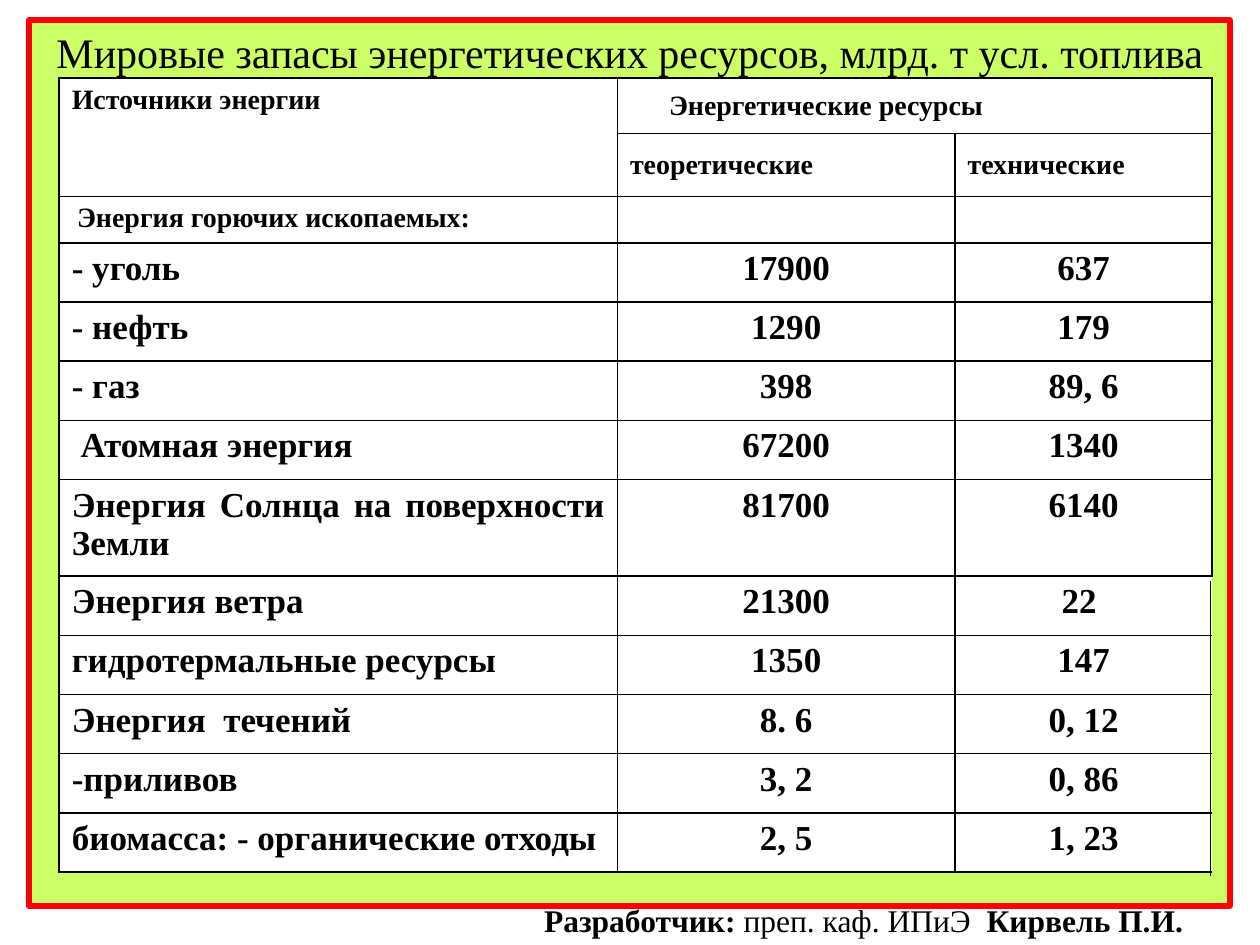
from lxml.etree import SubElement
from pptx import Presentation
from pptx.dml.color import RGBColor
from pptx.enum.shapes import MSO_CONNECTOR, MSO_SHAPE
from pptx.enum.text import MSO_ANCHOR, PP_ALIGN
from pptx.oxml.ns import qn
from pptx.util import Inches, Pt

BLACK = RGBColor(0, 0, 0)
WHITE = RGBColor(255, 255, 255)
RED = RGBColor(255, 0, 0)
LIME = RGBColor(0xCC, 0xFF, 0x66)
FONT = "Times New Roman"

COLUMN_WIDTHS = [4.43, 2.68, 2.04]
HEADER_HEIGHTS = [0.44, 0.5, 0.36]
ROW_HEIGHT = 0.47
TALL_ROW_HEIGHT = 0.76
SOLAR = "Энергия Солнца на поверхности Земли"
RESERVES = [
    ("- уголь", "17900", "637"),
    ("- нефть", "1290", "179"),
    ("- газ", "398", "89, 6"),
    (" Атомная энергия", "67200", "1340"),
    (SOLAR, "81700", "6140"),
    ("Энергия ветра", "21300", "22 "),
    ("гидротермальные ресурсы", "1350", "147"),
    ("Энергия  течений", "8. 6", "0, 12"),
    ("-приливов", "3, 2", "0, 86"),
    ("биомасса: - органические отходы", "2, 5", "1, 23"),
]
FIRST_OPEN_ROW = 8


def add_span(para, text, size, bold=True):
    span = para.add_run()
    span.text = text
    formats = {"name": FONT, "size": Pt(size), "bold": bold}
    for name, value in formats.items():
        setattr(span.font, name, value)
    span.font.color.rgb = BLACK


def add_frame(page, left, top, width, height):
    frame = page.shapes.add_shape(
        MSO_SHAPE.RECTANGLE, Inches(left), Inches(top), Inches(width), Inches(height)
    )
    frame.shadow.inherit = False
    frame.fill.solid()
    frame.fill.fore_color.rgb = LIME
    frame.line.color.rgb = RED
    frame.line.width = Pt(3.35)


def add_text(page, left, top, width, height, spans, align):
    box = page.shapes.add_textbox(
        Inches(left), Inches(top), Inches(width), Inches(height)
    )
    box.text_frame.word_wrap = True
    para = box.text_frame.paragraphs[0]
    para.alignment = align
    for span in spans:
        add_span(para, *span)


def set_borders(cell, open_right):
    properties = cell._tc.get_or_add_tcPr()
    for side in "LRTB":
        border = SubElement(properties, qn(f"a:ln{side}"), w=str(Pt(1)))
        if side == "R" and open_right:
            SubElement(border, qn("a:noFill"))
        else:
            fill = SubElement(border, qn("a:solidFill"))
            SubElement(fill, qn("a:srgbClr"), val=str(BLACK))


def fill_cell(cell, spans, align=PP_ALIGN.JUSTIFY, anchor=MSO_ANCHOR.TOP):
    cell.vertical_anchor = anchor
    para = cell.text_frame.paragraphs[0]
    para.alignment = align
    for span in spans:
        add_span(para, *span)
    return para


def add_header(table):
    table.cell(0, 0).merge(table.cell(1, 0))
    table.cell(0, 1).merge(table.cell(0, 2))
    fill_cell(table.cell(0, 0), [("Источники энергии", 16)])
    heading = fill_cell(
        table.cell(0, 1), [("Энергетические ресурсы", 16)], anchor=MSO_ANCHOR.MIDDLE
    )
    heading._p.get_or_add_pPr().set("indent", str(Inches(0.31)))
    for column, label in enumerate(["теоретические", "технические"], 1):
        fill_cell(table.cell(1, column), [(label, 16)], anchor=MSO_ANCHOR.MIDDLE)
        empty = table.cell(2, column).text_frame.paragraphs[0]
        SubElement(empty._p, qn("a:endParaRPr"), sz="1600")
    fill_cell(table.cell(2, 0), [(" ", 12), ("Энергия горючих ископаемых:", 16)])


def add_reserves_table(page, left, top, width, height):
    heights = HEADER_HEIGHTS + [
        TALL_ROW_HEIGHT if source == SOLAR else ROW_HEIGHT for source, *_ in RESERVES
    ]
    table = page.shapes.add_table(
        len(heights), len(COLUMN_WIDTHS),
        Inches(left), Inches(top), Inches(width), Inches(height),
    ).table
    table.first_row = False
    table.horz_banding = False
    for column, column_width in zip(table.columns, COLUMN_WIDTHS):
        column.width = Inches(column_width)
    for row_index, (row, row_height) in enumerate(zip(table.rows, heights)):
        row.height = Inches(row_height)
        for column_index, cell in enumerate(row.cells):
            set_borders(cell, row_index >= FIRST_OPEN_ROW and column_index == 2)
            cell.fill.solid()
            cell.fill.fore_color.rgb = WHITE
    add_header(table)
    for row_index, values in enumerate(RESERVES, len(HEADER_HEIGHTS)):
        for column_index, value in enumerate(values):
            align = PP_ALIGN.CENTER if column_index else PP_ALIGN.JUSTIFY
            fill_cell(table.cell(row_index, column_index), [(value, 20)], align)


def add_edge(page, x, top, bottom):
    edge = page.shapes.add_connector(
        MSO_CONNECTOR.STRAIGHT, Inches(x), Inches(top), Inches(x), Inches(bottom)
    )
    edge.line.color.rgb = BLACK
    edge.line.width = Pt(0.75)
    SubElement(edge._element.spPr, qn("a:effectLst"))


def main():
    deck = Presentation()
    deck.slide_width = Inches(10)
    deck.slide_height = Inches(7.5)
    page = deck.slides.add_slide(deck.slide_layouts[6])
    add_frame(page, 0.23, 0.16, 9.53, 7.03)
    title = "Мировые запасы энергетических ресурсов, млрд. т усл. топлива"
    add_text(page, 0, 0.16, 10, 0.47, [(title, 24, False)], PP_ALIGN.CENTER)
    add_reserves_table(page, 0.47, 0.62, 9.14, 6.34)
    add_edge(page, 9.61, 4.61, 6.95)
    credit = [
        ("Разработчик: ", 18),
        ("преп. каф. ИПиЭ  ", 18, False),
        ("Кирвель П.И.", 18),
    ]
    add_text(page, 4.22, 7.1, 5.55, 0.4, credit, PP_ALIGN.LEFT)
    deck.save("out.pptx")


if __name__ == "__main__":
    main()
